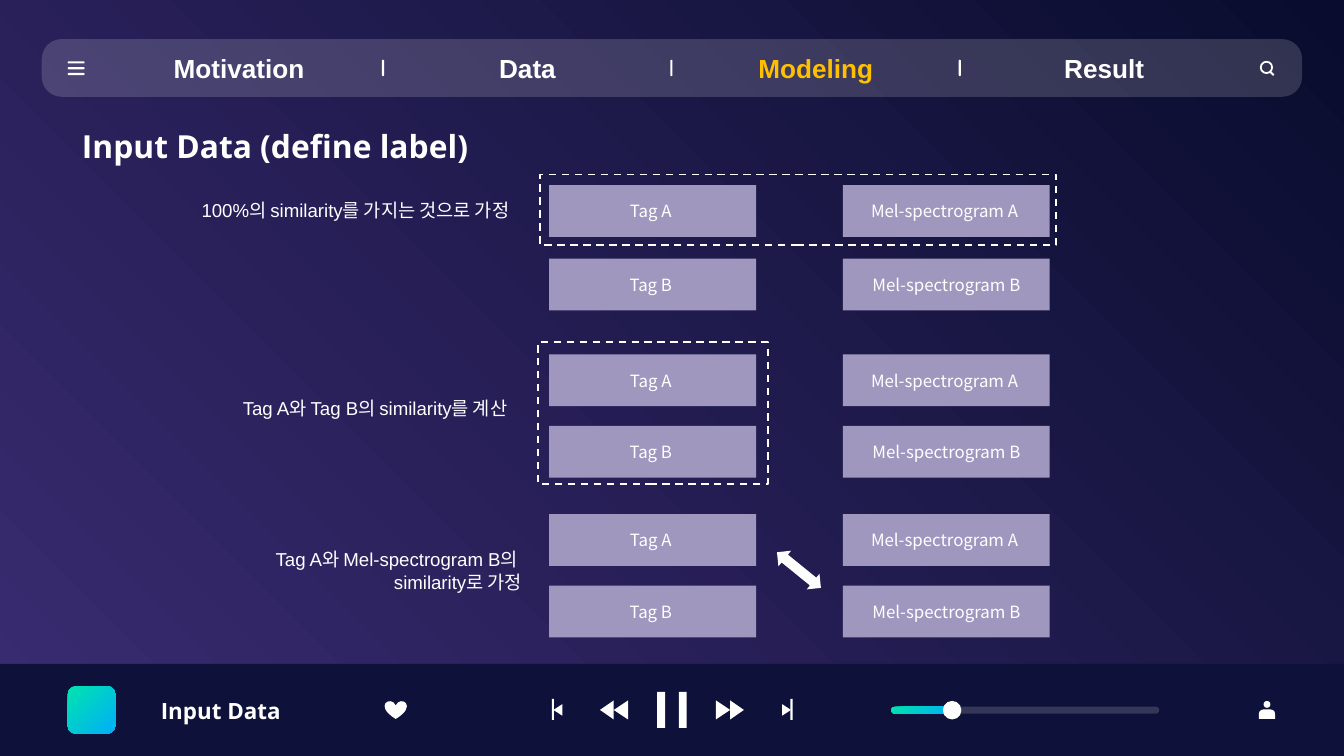
from lxml.etree import SubElement
from pptx import Presentation
from pptx.dml.color import RGBColor
from pptx.enum.dml import MSO_LINE
from pptx.enum.shapes import MSO_CONNECTOR, MSO_SHAPE
from pptx.enum.text import MSO_ANCHOR, PP_ALIGN
from pptx.oxml.ns import qn
from pptx.util import Cm, Pt

WHITE = RGBColor(0xFF, 0xFF, 0xFF)
AMBER = RGBColor(0xFF, 0xC0, 0x00)
LAVENDER = RGBColor(0xA0, 0x97, 0xBF)
FOOTER_NAVY = RGBColor(0x0E, 0x11, 0x39)
VIOLET = RGBColor(0x3B, 0x2C, 0x72)
NIGHT = RGBColor(0x09, 0x0C, 0x2E)
GREEN = RGBColor(0x00, 0xE4, 0xAE)
BLUE = RGBColor(0x00, 0xAE, 0xF8)

NAV_FORMAT = {"name": "Arial", "size": Pt(14), "bold": True}
TITLE_FORMAT = {"name": "Open Sans", "size": Pt(17), "bold": True}
TRACK_FORMAT = {"name": "Open Sans", "size": Pt(12), "bold": True}
CAPTION_FORMAT = {"name": "Arial", "size": Pt(10)}
CARD_FORMAT = {"name": "Noto Sans CJK KR", "size": Pt(9)}

NAV_STEP = 5.45
TAG_LEFT, MEL_LEFT = 10.38, 15.93
CARD_WIDTH, CARD_HEIGHT = 3.91, 0.98
CARD_GROUPS = [(3.5, 4.89), (6.7, 8.05), (9.72, 11.07)]


def set_gradient(fill, start, end, angle):
    """Fill with two colours; the angle runs counter-clockwise."""
    fill.gradient()
    fill.gradient_angle = angle
    for stop, color in zip(fill.gradient_stops, (start, end)):
        stop.color.rgb = color


def add_box(slide, kind, box, color=WHITE, adjustment=None, alpha=None):
    """Add a preset shape without outline; a colour of None leaves it empty."""
    shape = slide.shapes.add_shape(kind, *map(Cm, box))
    shape.shadow.inherit = False
    shape.line.fill.background()
    if color is None:
        shape.fill.background()
    else:
        shape.fill.solid()
        shape.fill.fore_color.rgb = color
    if adjustment is not None:
        shape.adjustments[0] = adjustment
    if alpha is not None:
        color_element = shape.element.spPr.find(".//" + qn("a:srgbClr"))
        SubElement(color_element, qn("a:alpha")).set("val", str(alpha * 1000))
    return shape


def add_gradient_box(slide, box, adjustment):
    shape = add_box(slide, MSO_SHAPE.ROUNDED_RECTANGLE, box, adjustment=adjustment)
    set_gradient(shape.fill, GREEN, BLUE, 315)


def add_triangle(slide, base, tip, top, height):
    """Add a sideways triangle pointing from x = base to x = tip."""
    builder = slide.shapes.build_freeform(Cm(base), Cm(top))
    builder.add_line_segments(
        [(Cm(tip), Cm(top + height / 2)), (Cm(base), Cm(top + height))], close=True
    )
    shape = builder.convert_to_shape()
    shape.shadow.inherit = False
    shape.fill.solid()
    shape.fill.fore_color.rgb = WHITE
    shape.line.fill.background()


def write_lines(frame, lines, font_format, color=WHITE, align=PP_ALIGN.LEFT):
    frame.text = "\n".join(lines)
    for paragraph in frame.paragraphs:
        paragraph.alignment = align
        paragraph.font.color.rgb = color
        for name, value in font_format.items():
            setattr(paragraph.font, name, value)


def add_text(slide, box, lines, font_format, color=WHITE, align=PP_ALIGN.LEFT,
             anchor=MSO_ANCHOR.MIDDLE):
    frame = slide.shapes.add_textbox(*map(Cm, box)).text_frame
    frame.word_wrap = True
    frame.vertical_anchor = anchor
    write_lines(frame, lines, font_format, color, align)


def add_card(slide, left, top, label):
    shape = add_box(slide, MSO_SHAPE.RECTANGLE,
                    (left, top, CARD_WIDTH, CARD_HEIGHT), LAVENDER)
    write_lines(shape.text_frame, [label], CARD_FORMAT, align=PP_ALIGN.CENTER)


def add_dashed_frame(slide, box):
    line = add_box(slide, MSO_SHAPE.RECTANGLE, box, None).line
    line.color.rgb = WHITE
    line.width = Pt(1)
    line.dash_style = MSO_LINE.DASH


def add_search_icon(slide):
    add_box(slide, MSO_SHAPE.DONUT, (23.81, 1.15, 0.25, 0.25), adjustment=0.14)
    handle = slide.shapes.add_connector(
        MSO_CONNECTOR.STRAIGHT, Cm(24.01), Cm(1.36), Cm(24.07), Cm(1.42))
    handle.line.color.rgb = WHITE
    handle.line.width = Pt(1)
    SubElement(handle.element.spPr, qn("a:effectLst"))


def add_navigation(slide):
    rounded = MSO_SHAPE.ROUNDED_RECTANGLE
    add_box(slide, rounded, (0.79, 0.74, 23.82, 1.09), adjustment=0.344, alpha=16)
    for index in range(3):
        add_box(slide, rounded, (7.22 + index * NAV_STEP, 1.13, 0.04, 0.31),
                adjustment=0.5)
        add_box(slide, rounded, (1.28, 1.16 + index * 0.11, 0.32, 0.04),
                adjustment=0.5)
    add_search_icon(slide)
    for index, label in enumerate(["Motivation", "Data", "Modeling", "Result"]):
        add_text(slide, (1.98 + index * NAV_STEP, 0.85, 5.08, 0.89), [label],
                 NAV_FORMAT, AMBER if label == "Modeling" else WHITE,
                 PP_ALIGN.CENTER)


def add_player(slide):
    add_box(slide, MSO_SHAPE.RECTANGLE, (0, 12.55, 25.4, 1.74), FOOTER_NAVY)
    add_gradient_box(slide, (1.28, 12.97, 0.9, 0.9), 0.167)
    add_text(slide, (2.79, 12.98, 3.84, 0.89), ["Input Data"], TRACK_FORMAT)
    add_box(slide, MSO_SHAPE.HEART, (7.27, 13.25, 0.42, 0.34))

    for left in (12.42, 12.83):
        add_box(slide, MSO_SHAPE.RECTANGLE, (left, 13.08, 0.15, 0.68))
    for left in (10.43, 14.94):
        add_box(slide, MSO_SHAPE.RECTANGLE, (left, 13.21, 0.04, 0.4))
    for base, tip in [(11.6, 11.34), (11.87, 11.6), (13.53, 13.8), (13.8, 14.06)]:
        add_triangle(slide, base, tip, 13.24, 0.36)
    for base, tip in [(10.63, 10.46), (14.78, 14.95)]:
        add_triangle(slide, base, tip, 13.31, 0.22)

    add_box(slide, MSO_SHAPE.ROUNDED_RECTANGLE, (16.84, 13.36, 5.07, 0.13),
            adjustment=0.5, alpha=16)
    add_gradient_box(slide, (16.84, 13.36, 1.15, 0.13), 0.5)
    add_box(slide, MSO_SHAPE.OVAL, (17.82, 13.25, 0.35, 0.35))
    add_box(slide, MSO_SHAPE.ROUND_2_SAME_RECTANGLE, (23.79, 13.41, 0.31, 0.18),
            adjustment=0.5)
    add_box(slide, MSO_SHAPE.OVAL, (23.88, 13.25, 0.13, 0.13))


def add_label_definitions(slide):
    add_text(slide, (1.3, 2.32, 13.87, 0.89), ["Input Data (define label)"],
             TITLE_FORMAT)
    captions = [
        ((3.56, 3.63, 9.42, 0.68), ["100%의 similarity를 가지는 것으로 가정"],
         PP_ALIGN.LEFT),
        ((4.34, 7.37, 6.1, 0.68), ["Tag A와 Tag B의 similarity를 계산"],
         PP_ALIGN.LEFT),
        ((2.49, 10.24, 7.62, 1.12),
         ["Tag A와 Mel-spectrogram B의 ", "similarity로 가정"], PP_ALIGN.RIGHT),
    ]
    for box, lines, align in captions:
        add_text(slide, box, lines, CAPTION_FORMAT, align=align,
                 anchor=MSO_ANCHOR.TOP)

    for tops in CARD_GROUPS:
        for top, tag, mel in zip(tops, ("Tag A ", "Tag B "),
                                 ("Mel-spectrogram A ", "Mel-spectrogram B")):
            add_card(slide, TAG_LEFT, top, tag)
            add_card(slide, MEL_LEFT, top, mel)
    add_dashed_frame(slide, (10.21, 3.3, 9.75, 1.33))
    add_dashed_frame(slide, (10.17, 6.47, 4.34, 2.68))
    arrow = add_box(slide, MSO_SHAPE.UP_DOWN_ARROW, (14.91, 10.24, 0.38, 1.07),
                    adjustment=0.5)
    arrow.adjustments[1] = 0.5
    arrow.rotation = 309.1


def main():
    presentation = Presentation()
    presentation.slide_width = Cm(25.4)
    presentation.slide_height = Cm(14.29)
    slide = presentation.slides.add_slide(presentation.slide_layouts[6])
    set_gradient(slide.background.fill, VIOLET, NIGHT, 45)
    add_player(slide)
    add_navigation(slide)
    add_label_definitions(slide)
    presentation.save("out.pptx")


if __name__ == "__main__":
    main()
